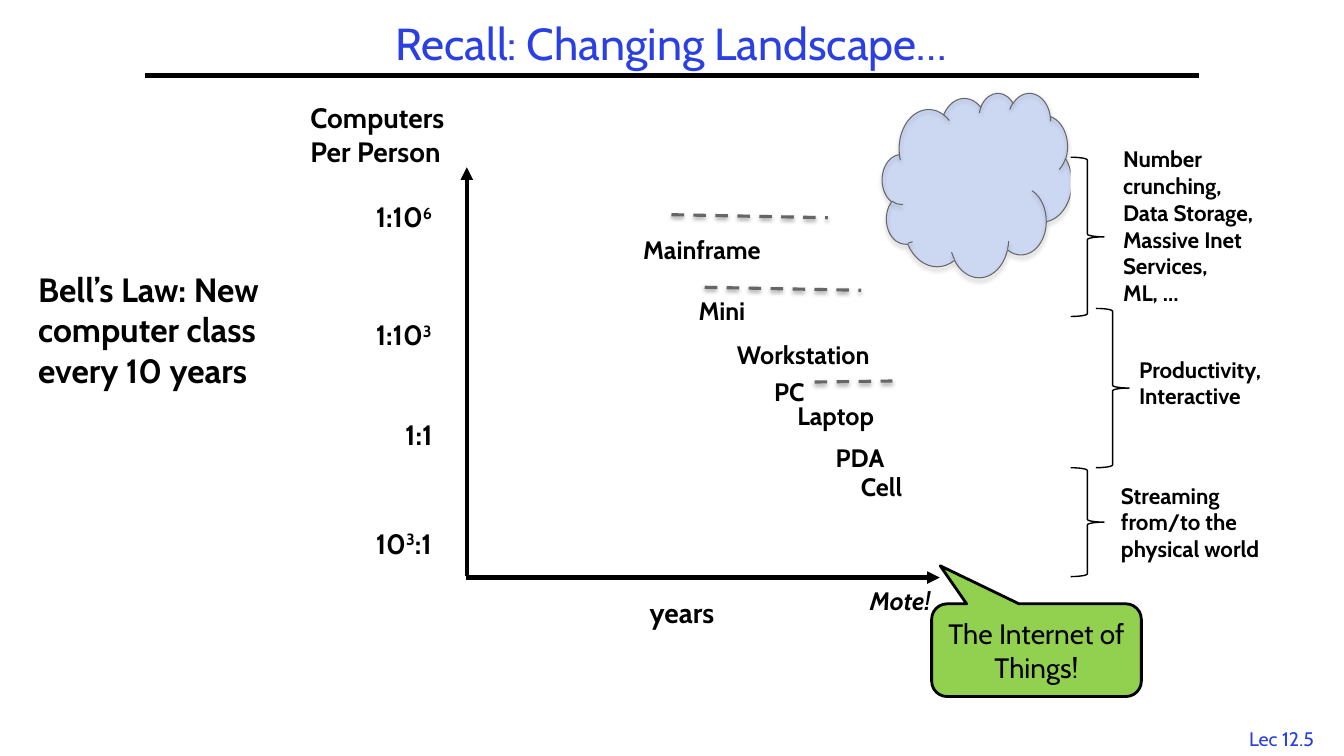
from lxml.etree import SubElement
from pptx import Presentation
from pptx.dml.color import RGBColor
from pptx.enum.dml import MSO_LINE_DASH_STYLE as Dash
from pptx.enum.shapes import MSO_CONNECTOR as Connector, MSO_SHAPE as Shape
from pptx.enum.text import MSO_ANCHOR as Anchor, PP_ALIGN as Align
from pptx.oxml.ns import qn
from pptx.util import Inches, Pt

BLACK = RGBColor(0x00, 0x00, 0x00)
WHITE = RGBColor(0xFF, 0xFF, 0xFF)
BLUE = RGBColor(0x2A, 0x40, 0xE2)
GRAY = RGBColor(0x66, 0x66, 0x66)
GREEN = RGBColor(0x92, 0xD0, 0x50)
CLOUD_BLUE = RGBColor(0x0B, 0x52, 0xFC)
FONT = "Cabin"
GRID = 0.1

TITLE = ("Recall: Changing Landscape…", (14.4, 1.7, 104.4, 5.8))
TITLE_RULE = (14.4, 7.5, 118.9, 7.5)
PAGE_NUMBER = ("Lec 12.5", (121.7, 71.6, 10.8, 3.3))
LAW = ("Bell’s Law: New computer class every 10 years", (2.8, 26.2, 31.7, 13.1))
AXIS_TITLES = [
    ("years", (62.1, 58.6, 11.1, 4.4), Align.CENTER),
    ("Computers\nPer Person", (29.8, 9.5, 18.8, 7.7), Align.LEFT),
]
AXES = [(46.2, 57.3, 93.2, 57.3), (46.3, 57.1, 46.3, 16.6)]
RATIOS = [("1:10^6", 36.3, 19.3), ("1:10^3", 36.3, 31), ("1:1", 39.2, 40.9), ("10^3^:1", 36.3, 51.7)]
COMPUTER_CLASSES = [
    ("Mainframe", 62.8, 22.8, 20.5),
    ("Mini", 68.3, 28.8, 11.1),
    ("Workstation", 72.1, 33.2, 19.7),
    ("PC", 75.8, 36.8, 7.3),
    ("Laptop", 78.1, 39.2, 16.1),
    ("PDA", 81.9, 43.4, 9.4),
    ("Cell", 84.4, 46.3, 7.7),
]
MOTE = ("Mote!", (85.3, 57.6, 8.5, 7.1))
DASHES = [(66.6, 21.3, 82.1, 21.6), (69.9, 28.5, 85.4, 28.8), (80.8, 37.9, 88.5, 37.8)]
CLOUD = (87.5, 9.2, 18.8, 18.3)
CALLOUT = ("The Internet of Things!", (92.4, 59.9, 20.8, 9.2), (-0.459, -0.91, 0.167))
USES = [
    ("Number crunching, Data Storage, Massive Inet Services,\nML, …",
     (106.2, 15.6, 3.3, 15.8), (110.4, 13.9, 16.7, 17.2)),
    ("Productivity,\nInteractive",
     (108.7, 30.6, 3.3, 15.8), (112, 34.8, 16.7, 6.4)),
    ("Streaming from/to the physical world",
     (106.2, 46.4, 3.3, 10.8), (110.2, 47.3, 16.7, 11.8)),
]


def cells(box):
    return [Inches(GRID * cell) for cell in box]


def write(frame, content, size, color=BLACK, bold=False, italic=False, align=Align.LEFT):
    for index, line in enumerate(content.split("\n")):
        paragraph = frame.paragraphs[0] if index == 0 else frame.add_paragraph()
        paragraph.alignment = align
        font = paragraph.font
        font.name, font.size, font.bold, font.italic = FONT, Pt(size), bold, italic
        font.color.rgb = color
        for position, part in enumerate(line.split("^")):
            run = paragraph.add_run()
            run.text = part
            if position % 2:
                run._r.get_or_add_rPr().set("baseline", "30000")


def add_label(content, box, size, wrap=True, **style):
    frame = slide.shapes.add_textbox(*cells(box)).text_frame
    frame.word_wrap = wrap
    write(frame, content, size, **style)


def add_shadow(shape, opacity, distance):
    effects = shape._element.spPr.find(qn("a:effectLst"))
    shadow = SubElement(effects, qn("a:outerShdw"), blurRad=str(Pt(3.1)),
                        dist=str(Pt(distance)), dir="5400000", rotWithShape="0")
    shade = SubElement(shadow, qn("a:srgbClr"), val=str(BLACK))
    SubElement(shade, qn("a:alpha"), val=str(opacity * 1000))


def add_line(ends, width, color=BLACK, arrow=False):
    line = slide.shapes.add_connector(Connector.STRAIGHT, *cells(ends))
    line.line.color.rgb = color
    line.line.width = Pt(width)
    if arrow:
        SubElement(line.line._get_or_add_ln(), qn("a:tailEnd"), type="triangle")
    SubElement(line._element.spPr, qn("a:effectLst"))
    return line


def add_preset(kind, box, fill, line_color, width):
    shape = slide.shapes.add_shape(kind, *cells(box))
    shape.shadow.inherit = False
    shape.fill.solid()
    shape.fill.fore_color.rgb = fill
    shape.line.color.rgb = line_color
    shape.line.width = Pt(width)
    return shape


deck = Presentation()
deck.slide_width, deck.slide_height = Inches(13.33), Inches(7.5)
slide = deck.slides.add_slide(deck.slide_layouts[5])

add_label(*PAGE_NUMBER, 14, wrap=False, color=BLUE, align=Align.CENTER)
add_line(TITLE_RULE, 3)

heading, heading_box = TITLE
title = slide.shapes.title
title.left, title.top, title.width, title.height = cells(heading_box)
title.text_frame.vertical_anchor = Anchor.MIDDLE
write(title.text_frame, heading, 32, BLUE, align=Align.CENTER)
title.text_frame.paragraphs[0].line_spacing = 0.9

for name, box, align in AXIS_TITLES:
    add_label(name, box, 20, bold=True, align=align)
for ratio, left, top in RATIOS:
    add_label(ratio, (left, top, 46.3 - left, 4.4), 20, bold=True)
for axis in AXES:
    add_line(axis, 3, arrow=True)
for name, left, top, width in COMPUTER_CLASSES:
    add_label(name, (left, top, width, 4.1), 18, bold=True)
add_label(*MOTE, 18, bold=True, italic=True)

for ends in DASHES:
    dash = add_line(ends, 2.25, GRAY)
    dash.line.dash_style = Dash.DASH
    add_shadow(dash, 38, 1.6)

cloud = add_preset(Shape.CLOUD, CLOUD, CLOUD_BLUE, GRAY, 0.75)
cloud_color = cloud._element.spPr.find(qn("a:solidFill")).find(qn("a:srgbClr"))
SubElement(cloud_color, qn("a:alpha"), val="16000")
add_shadow(cloud, 35, 1.8)

add_label(*LAW, 24, bold=True)

remark, callout_box, pointer = CALLOUT
callout = add_preset(Shape.ROUNDED_RECTANGULAR_CALLOUT, callout_box, GREEN, BLACK, 2)
for index, value in enumerate(pointer):
    callout.adjustments[index] = value
callout.text_frame.word_wrap = True
callout.text_frame.vertical_anchor = Anchor.MIDDLE
write(callout.text_frame, remark, 20, align=Align.CENTER)

for use, brace_box, label_box in USES:
    add_preset(Shape.RIGHT_BRACE, brace_box, WHITE, BLACK, 1)
    add_label(use, label_box, 16, bold=True)

deck.save("out.pptx")
